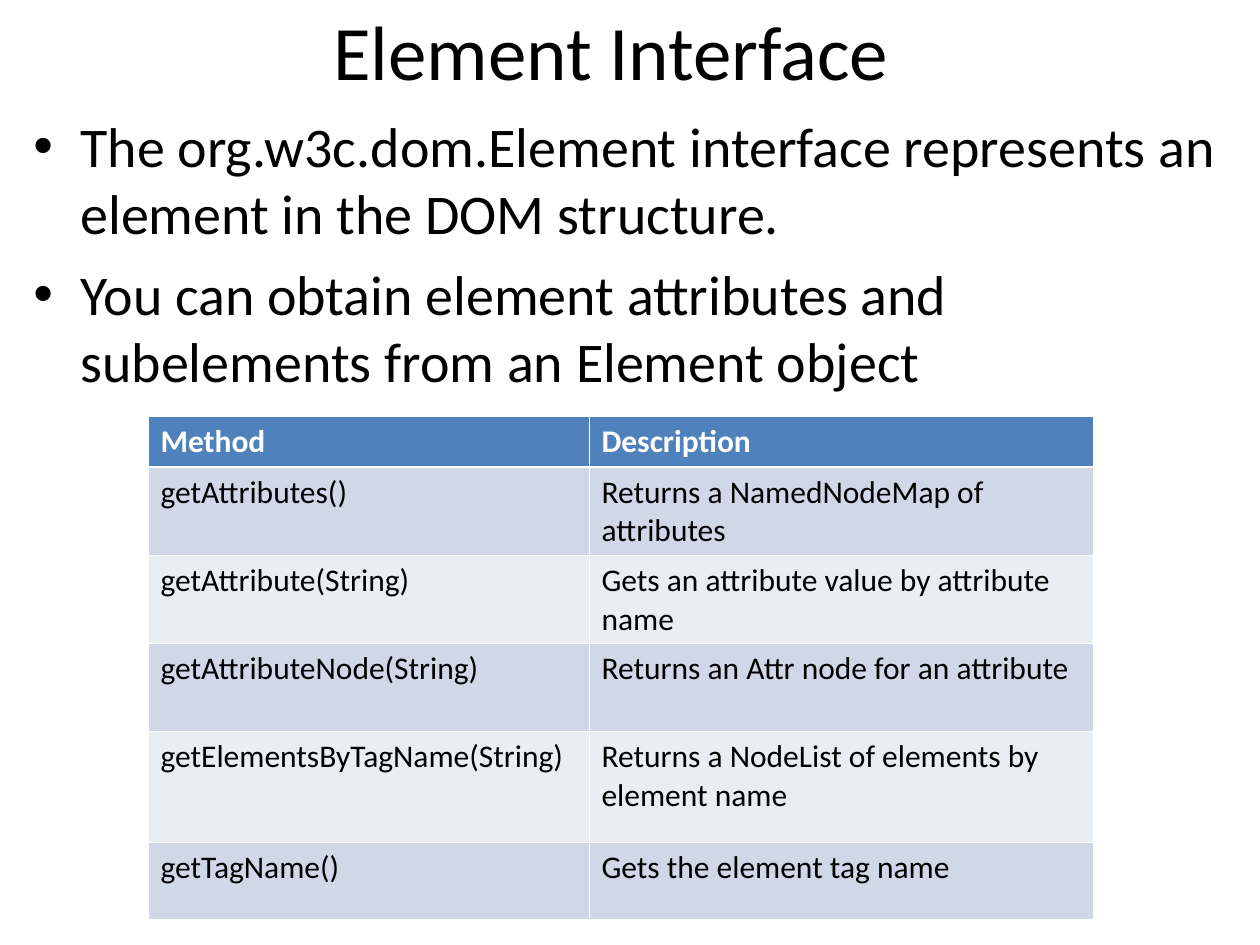
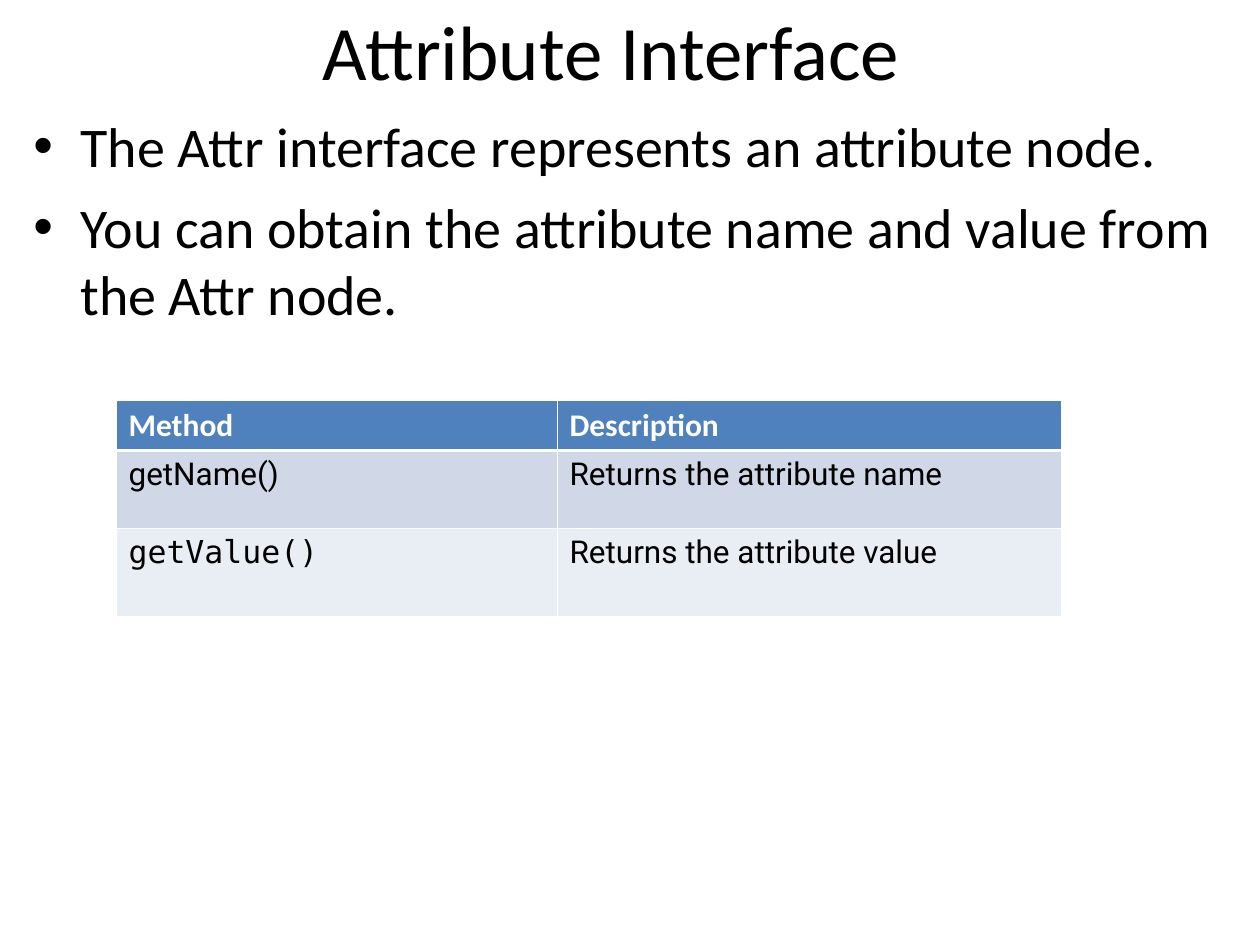
from dataclasses import dataclass

import lxml.etree
import pptx
import pptx.dml.color
import pptx.enum.text
import pptx.oxml.ns
import pptx.util

PX_PER_INCH = 126


def px(length):
    return pptx.util.Emu(round(length * pptx.util.Inches(1) / PX_PER_INCH))


@dataclass(frozen=True)
class Theme:
    font: str = "Calibri"
    plain_font: str = "Roboto"
    code_font: str = "DejaVu Sans Mono"
    ink: str = "000000"
    paper: str = "FFFFFF"
    header_fill: str = "4F81BD"
    band_fills: tuple = ("D0D8E8", "E9EDF4")
    title_size: int = 44
    bullet_size: int = 32
    table_size: int = 18
    bullet_gap: int = 8
    thin_rule: float = 0.45
    header_rule: float = 1.47


THEME = Theme()
TITLE_BOX = (53, 21, 1134, 57)
BULLETS_BOX = (21, 105, 1218, 809)
BULLET_INDENT = 47
COLUMN_WIDTHS = (441, 504)
HEADINGS = ("Method", "Description")


@dataclass(frozen=True)
class Entry:
    text: str
    font: str = THEME.font


def rgb(code):
    return pptx.dml.color.RGBColor.from_string(code)


def add_span(para, text, size, color=THEME.ink, font=THEME.font, bold=False):
    span = para.add_run()
    span.text = text
    span.font.name = font
    span.font.size = pptx.util.Pt(size)
    span.font.bold = bold
    span.font.color.rgb = rgb(color)


def add_element(parent, tag, **attributes):
    return lxml.etree.SubElement(parent, pptx.oxml.ns.qn(tag), **attributes)


def place_title(page, box, text):
    title = page.shapes.title
    title.left, title.top, title.width, title.height = map(px, box)
    frame = title.text_frame
    frame.word_wrap = True
    frame.auto_size = pptx.enum.text.MSO_AUTO_SIZE.NONE
    frame.vertical_anchor = pptx.enum.text.MSO_ANCHOR.MIDDLE
    para = frame.paragraphs[0]
    para.alignment = pptx.enum.text.PP_ALIGN.CENTER
    add_span(para, text, THEME.title_size)


def add_bullets(page, box, points):
    frame = page.shapes.add_textbox(*map(px, box)).text_frame
    frame.word_wrap = True
    for index, point in enumerate(points):
        para = frame.add_paragraph() if index else frame.paragraphs[0]
        properties = para._p.get_or_add_pPr()
        properties.set("marL", str(px(BULLET_INDENT)))
        properties.set("indent", str(-px(BULLET_INDENT)))
        color = add_element(properties, "a:buClr")
        add_element(color, "a:srgbClr", val=THEME.ink)
        add_element(properties, "a:buFont", typeface="Arial")
        add_element(properties, "a:buChar", char="•")
        if index:
            para.space_before = pptx.util.Pt(THEME.bullet_gap)
        add_span(para, point, THEME.bullet_size)


def draw_borders(cell, row_index):
    widths = {
        "a:lnL": THEME.thin_rule,
        "a:lnR": THEME.thin_rule,
        "a:lnT": THEME.header_rule if row_index == 1 else THEME.thin_rule,
        "a:lnB": THEME.header_rule if row_index == 0 else THEME.thin_rule,
    }
    properties = cell._tc.get_or_add_tcPr()
    for position, (tag, width) in enumerate(widths.items()):
        line = add_element(properties, tag, w=str(pptx.util.Pt(width)))
        add_element(add_element(line, "a:solidFill"), "a:srgbClr", val=THEME.paper)
        properties.insert(position, line)


def fill_cell(cell, entry, row_index):
    is_header = row_index == 0
    cell.fill.solid()
    cell.fill.fore_color.rgb = rgb(
        THEME.header_fill if is_header else THEME.band_fills[(row_index - 1) % 2]
    )
    draw_borders(cell, row_index)
    add_span(
        cell.text_frame.paragraphs[0],
        entry.text,
        THEME.table_size,
        THEME.paper if is_header else THEME.ink,
        entry.font,
        is_header,
    )


def add_method_table(page, corner, row_heights, methods):
    rows = [tuple(map(Entry, HEADINGS)), *methods]
    size = (sum(COLUMN_WIDTHS), sum(row_heights))
    table = page.shapes.add_table(
        len(rows), len(HEADINGS), *map(px, corner + size)
    ).table
    table.horz_banding = False
    for column, width in zip(table.columns, COLUMN_WIDTHS):
        column.width = px(width)
    for row_index, (entries, height) in enumerate(zip(rows, row_heights)):
        table.rows[row_index].height = px(height)
        for column_index, entry in enumerate(entries):
            fill_cell(table.cell(row_index, column_index), entry, row_index)


def add_interface_page(deck, title, points, corner, row_heights, methods):
    page = deck.slides.add_slide(deck.slide_layouts.get_by_name("Title Only"))
    place_title(page, TITLE_BOX, title)
    add_bullets(page, BULLETS_BOX, points)
    add_method_table(page, corner, row_heights, methods)


def main():
    deck = pptx.Presentation()
    deck.slide_width = pptx.util.Inches(10)
    deck.slide_height = pptx.util.Inches(7.5)
    element_methods = (
        ("getAttributes()", "Returns a NamedNodeMap of attributes"),
        ("getAttribute(String)", "Gets an attribute value by attribute name"),
        ("getAttributeNode(String)", "Returns an Attr node for an attribute"),
        (
            "getElementsByTagName(String)",
            "Returns a NodeList of elements by element name",
        ),
        ("getTagName()", "Gets the element tag name"),
    )
    add_interface_page(
        deck,
        "Element Interface ",
        (
            "The org.w3c.dom.Element interface represents an element in the DOM structure.",
            "You can obtain element attributes and subelements from an Element object",
        ),
        (148, 416),
        (51, 88, 88, 88, 111, 77),
        [tuple(map(Entry, method)) for method in element_methods],
    )
    add_interface_page(
        deck,
        "Attribute Interface ",
        (
            "The Attr interface represents an attribute node.",
            "You can obtain the attribute name and value from the Attr node.",
        ),
        (116, 400),
        (50, 78, 88),
        [
            (
                Entry("getName()", THEME.plain_font),
                Entry("Returns the attribute name", THEME.plain_font),
            ),
            (
                Entry("getValue()", THEME.code_font),
                Entry("Returns the attribute value", THEME.plain_font),
            ),
        ],
    )
    deck.save("out.pptx")


if __name__ == "__main__":
    main()
